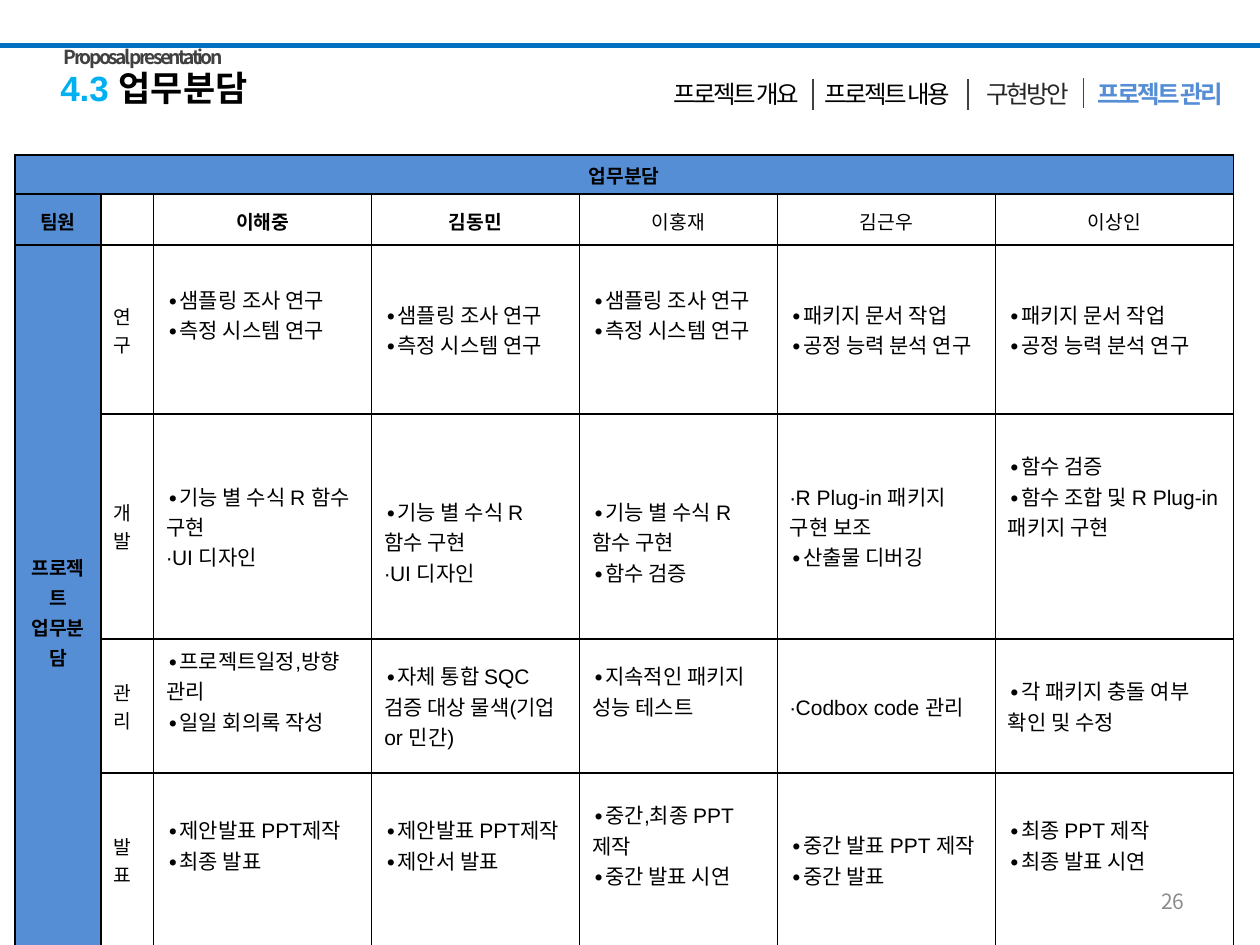
from pptx import Presentation
from pptx.dml.color import RGBColor
from pptx.enum.shapes import MSO_CONNECTOR
from pptx.enum.text import MSO_ANCHOR, PP_ALIGN
from pptx.oxml.ns import qn
from pptx.util import Inches, Pt
from lxml import etree

LEFT, MID, RIGHT, JUST = (PP_ALIGN.LEFT, PP_ALIGN.CENTER,
                          PP_ALIGN.RIGHT, PP_ALIGN.JUSTIFY)
MIDDLE, TOP = MSO_ANCHOR.MIDDLE, MSO_ANCHOR.TOP
LINE = MSO_CONNECTOR.STRAIGHT
BLACK = RGBColor(0x00, 0x00, 0x00)
WHITE = RGBColor(0xFF, 0xFF, 0xFF)
BLUE = RGBColor(0x55, 0x8E, 0xD5)
RULE = RGBColor(0x00, 0x70, 0xC0)
CYAN = RGBColor(0x00, 0xB0, 0xF0)
DARK = RGBColor(0x40, 0x40, 0x40)
INK = RGBColor(0x26, 0x26, 0x26)
GRAY = RGBColor(0x8C, 0x8C, 0x8C)
NOTO, ARIAL = "Noto Sans CJK KR", "Arial"


def write(frame, text, size=12, font=NOTO, color=BLACK, bold=False,
          align=LEFT, space=None, track=None):
    """Fill a frame; text is a string or a list of (string, colour) runs."""
    runs = [(text, color)] if isinstance(text, str) else text
    para = frame.paragraphs[0]
    for part, tint in runs:
        for i, line in enumerate(part.split("\n")):
            if i:
                para = frame.add_paragraph()
            para.alignment = align
            if space:
                para.line_spacing = space
            run = para.add_run()
            run.text = line
            run.font.size, run.font.bold = Pt(size), bold
            run.font.name, run.font.color.rgb = font, tint
            props = run.font._element
            etree.SubElement(props, qn("a:ea"), typeface=NOTO)
            if track:
                props.set("spc", str(int(track * 100)))


def rule(home, x1, y1, x2, y2, color, width):
    line = home.add_connector(LINE, Inches(x1), Inches(y1), Inches(x2), Inches(y2))
    line.line.color.rgb, line.line.width = color, Pt(width)
    etree.SubElement(line._element.spPr, qn("a:effectLst"))


deck = Presentation()
deck.slide_width, deck.slide_height = Inches(10), Inches(7.5)
slide = deck.slides.add_slide(deck.slide_layouts[6])
shapes = slide.shapes

# Work table
cols = [0.68, 0.42, 1.73, 1.65, 1.57, 1.73, 1.89]
rows = [0.31, 0.32, 1.34, 1.34, 0.9, 1.38]
names = ["이해중", "김동민", "이홍재", "김근우", "이상인"]
tasks = [
    ("연구", ["∙샘플링 조사 연구\n∙측정 시스템 연구"] * 3
     + ["∙패키지 문서 작업\n∙공정 능력 분석 연구"] * 2),
    ("개발", ["∙기능 별 수식 R 함수 구현\n∙UI 디자인"] * 2
     + ["∙기능 별 수식 R 함수 구현\n∙함수 검증",
        "∙R Plug-in 패키지 구현 보조\n∙산출물 디버깅",
        "∙함수 검증\n∙함수 조합 및 R Plug-in 패키지 구현"]),
    ("관리", ["∙프로젝트일정,방향 관리\n∙일일 회의록 작성",
            "∙자체 통합 SQC 검증 대상 물색(기업 or 민간)",
            "∙지속적인 패키지 성능 테스트",
            "∙Codbox code 관리",
            "∙각 패키지 충돌 여부 확인 및 수정"]),
    ("발표", ["∙제안발표 PPT제작\n∙최종 발표",
            "∙제안발표 PPT제작\n∙제안서 발표",
            "∙중간,최종 PPT제작\n∙중간 발표 시연",
            "∙중간 발표 PPT 제작\n∙중간 발표",
            "∙최종 PPT 제작\n∙최종 발표 시연"]),
]
# Extra lines of margin (above, below) by cell
STEP = 0.24
pads = {(2, 0): (1, 0), (2, 2): (0, 1), (2, 4): (0, 1),
        (3, 3): (1, 0), (3, 4): (1, 0), (3, 6): (1, 3),
        (4, 2): (0, 1), (4, 4): (0, 1),
        (5, 2): (0, 1), (5, 3): (0, 1), (5, 4): (0, 1), (5, 6): (0, 1)}

grid = shapes.add_table(len(rows), len(cols), Inches(0.12), Inches(1.23),
                        Inches(sum(cols)), Inches(sum(rows))).table
grid.first_row = grid.horz_banding = False
for col, wide in zip(grid.columns, cols):
    col.width = Inches(wide)
for row, high in zip(grid.rows, rows):
    row.height = Inches(high)
grid.cell(0, 0).merge(grid.cell(0, 6))
grid.cell(2, 0).merge(grid.cell(5, 0))

words = {(0, 0): "업무분담", (1, 0): "팀원", (2, 0): "프로젝트\n업무분담"}
words.update({(1, c): name for c, name in enumerate(names, 2)})
for r, (label, jobs) in enumerate(tasks, 2):
    words.update({(r, c): text for c, text in enumerate([label] + jobs, 1)})

for r in range(len(rows)):
    for c in range(len(cols)):
        cell = grid.cell(r, c)
        head = r < 2 or c == 0
        text = words.get((r, c))
        cell.vertical_anchor = MIDDLE
        if text:
            above, below = pads.get((r, c), (0, 0))
            edge = 0 if head else 0.05
            cell.margin_left = cell.margin_right = Inches(0.07 if head else 0.1)
            cell.margin_top = Inches(edge + above * STEP)
            cell.margin_bottom = Inches(edge + below * STEP)
            write(cell.text_frame, text, size=11 if head or c == 1 else 12,
                  font=NOTO if head or c == 1 else ARIAL,
                  bold=head and c < 4, align=MID if head else LEFT,
                  space=1.07 if head else None)
        # Borders come before the fill in the cell properties
        props = cell._tc.get_or_add_tcPr()
        for side in ("a:lnL", "a:lnR", "a:lnT", "a:lnB"):
            edge = etree.SubElement(props, qn(side), w=str(Pt(1)))
            fill = etree.SubElement(edge, qn("a:solidFill"))
            etree.SubElement(fill, qn("a:srgbClr"), val=str(BLACK))
        cell.fill.solid()
        cell.fill.fore_color.rgb = BLUE if r == 0 or c == 0 else WHITE

# Top rule
rule(shapes, -0.02, 0.36, 10.02, 0.36, RULE, 3)

# Title, section menu, caption and page number
menu = shapes.add_group_shape().shapes
tab = dict(size=14, align=MID, track=-1.5)
boxes = [
    (shapes, 0.38, 0.48, 4.62, 0.44, True, TOP,
     [("4.3 ", CYAN), ("업무분담", BLACK)], dict(size=20, font=ARIAL, bold=True)),
    (menu, 5, 0.58, 1.69, 0.34, True, TOP, "프로젝트 개요", tab),
    (menu, 6.36, 0.58, 1.34, 0.34, False, TOP, " 프로젝트 내용", tab),
    (menu, 7.62, 0.58, 1.07, 0.34, False, TOP, "구현방안", dict(tab, color=INK)),
    (menu, 8.56, 0.58, 1.3, 0.34, False, TOP, "프로젝트 관리",
     dict(tab, color=BLUE, bold=True)),
    (shapes, 0.41, 0.31, 2.44, 0.29, True, TOP, "Proposal presentation",
     dict(size=11, color=DARK, bold=True, align=JUST, track=-1.5)),
    (shapes, 7.17, 6.95, 2.33, 0.4, True, MIDDLE, "26",
     dict(color=GRAY, align=RIGHT)),
]
for home, x, y, w, h, wrap, anchor, text, look in boxes:
    frame = home.add_textbox(Inches(x), Inches(y), Inches(w), Inches(h)).text_frame
    frame.word_wrap, frame.vertical_anchor = wrap, anchor
    write(frame, text, **look)

# Menu dividers
for x, y in ((6.45, 0.63), (7.68, 0.63), (8.6, 0.62)):
    rule(menu, x, y, x, y + 0.24, DARK, 1)

deck.save("out.pptx")
